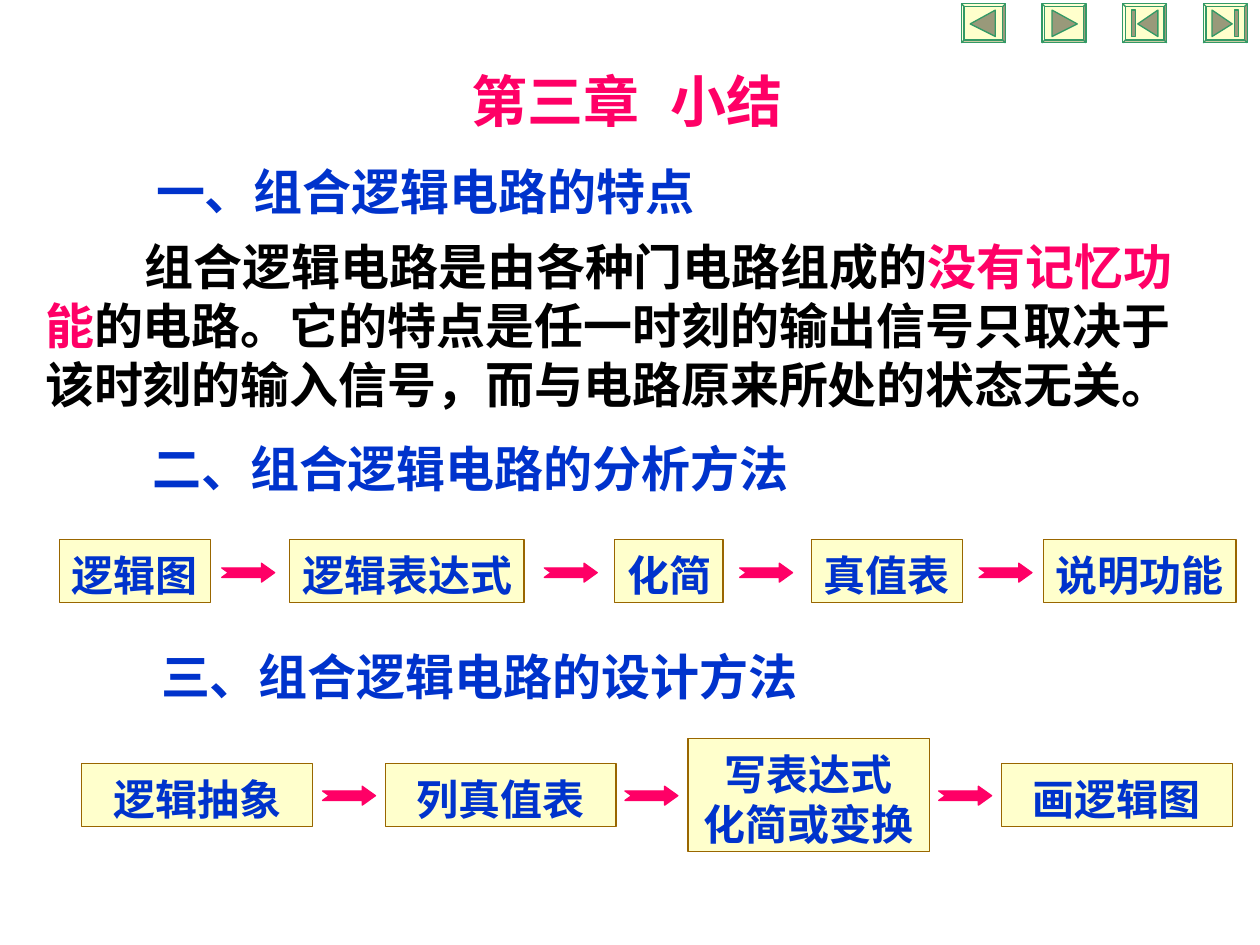
from pptx import Presentation
from pptx.dml.color import RGBColor
from pptx.enum.shapes import MSO_SHAPE as Shape
from pptx.enum.text import MSO_ANCHOR as Anchor, PP_ALIGN as Align
from pptx.oxml.ns import qn
from pptx.util import Inches, Pt

PINK = RGBColor(0xFF, 0x00, 0x66)
BLUE = RGBColor(0x00, 0x33, 0xCC)
BLACK = RGBColor(0x00, 0x00, 0x00)
CREAM = RGBColor(0xFF, 0xFF, 0xCC)
BROWN = RGBColor(0x99, 0x66, 0x00)
GREEN = RGBColor(0x33, 0x99, 0x66)
OLIVE = RGBColor(0x99, 0x99, 0x7A)

HAN_FONT = "Noto Sans CJK SC"
LATIN_FONT = "Times New Roman"
BUTTON_W, BUTTON_H = 0.35, 0.31


class Board:
    """Holds the style and the current slide."""

    def __init__(self, deck):
        """Add a title-only slide to the deck."""
        self.slide = deck.slides.add_slide(deck.slide_layouts[5])
        self.shapes = self.slide.shapes

    def run(self, paragraph, text, size, color, latin=LATIN_FONT):
        """Add one bold run with Latin and Chinese fonts."""
        run = paragraph.add_run()
        run.text = text
        run.font.size, run.font.bold = Pt(size), True
        run.font.name = latin
        run.font.color.rgb = color
        east_asian = run.font._element.makeelement(qn("a:ea"), {"typeface": HAN_FONT})
        run.font._element.find(qn("a:latin")).addnext(east_asian)

    def frame(self, shape, wrap=True, top=0.08, bottom=0.02):
        """Set margins, wrapping and top anchoring, and return the frame."""
        frame = shape.text_frame
        frame.margin_left = frame.margin_right = Inches(0.1)
        frame.margin_top, frame.margin_bottom = Inches(top), Inches(bottom)
        frame.word_wrap = wrap
        frame.vertical_anchor = Anchor.TOP
        return frame

    def fill_lines(self, frame, lines, size, align=Align.LEFT):
        """Write lines, each a list of (text, color) runs."""
        for index, line in enumerate(lines):
            paragraph = frame.add_paragraph() if index else frame.paragraphs[0]
            paragraph.alignment = align
            paragraph.line_spacing = Pt(round(size * 1.2, 1))
            for text, color in line:
                self.run(paragraph, text, size, color)

    def paint(self, shape, fill, line):
        """Apply a flat fill and a thin outline."""
        shape.shadow.inherit = False
        shape.fill.solid()
        shape.fill.fore_color.rgb = fill
        shape.line.color.rgb = line
        shape.line.width = Pt(0.74)

    def title(self, left, top, width, height, pieces):
        """Place the title, written as (text, size) pieces."""
        title = self.shapes.title
        title.left, title.top = Inches(left), Inches(top)
        title.width, title.height = Inches(width), Inches(height)
        paragraph = self.frame(title, top=0.05, bottom=0.05).paragraphs[0]
        paragraph.alignment = Align.LEFT
        for text, size in pieces:
            self.run(paragraph, text, size, PINK, HAN_FONT)

    def text(self, left, top, width, height, lines):
        """Add a text box at heading size and return its frame."""
        box = self.shapes.add_textbox(*map(Inches, (left, top, width, height)))
        frame = self.frame(box)
        self.fill_lines(frame, lines, 28)
        return frame

    def step(self, left, top, width, lines, align, wrap):
        """Add a framed process step, as high as its lines need."""
        height = 0.1 + 0.4 * len(lines)
        step = self.shapes.add_shape(
            Shape.RECTANGLE, *map(Inches, (left, top, width, height)))
        self.paint(step, CREAM, BROWN)
        self.fill_lines(self.frame(step, wrap), [[(line, BLUE)] for line in lines],
                        24, align)

    def arrow(self, left, top):
        """Add a notched arrow between two steps."""
        arrow = self.shapes.add_shape(
            Shape.NOTCHED_RIGHT_ARROW, *map(Inches, (left, top, 0.42, 0.15)))
        arrow.adjustments[0], arrow.adjustments[1] = 0.5, 0.7
        self.paint(arrow, PINK, PINK)

    def button(self, left, top, outlines, mirrored):
        """Add a bevelled navigation button with its icon."""
        face = self.shapes.add_shape(
            Shape.BEVEL, *map(Inches, (left, top, BUTTON_W, BUTTON_H)))
        face.adjustments[0] = 0.07
        self.paint(face, CREAM, GREEN)
        for outline in outlines:
            points = [(Inches(left + (BUTTON_W - x if mirrored else x)), Inches(top + y))
                      for x, y in outline]
            builder = self.shapes.build_freeform(*points[0])
            builder.add_line_segments(points[1:], close=True)
            self.paint(builder.convert_to_shape(), OLIVE, GREEN)


deck = Presentation()
deck.slide_width, deck.slide_height = Inches(10), Inches(7.5)
board = Board(deck)

board.title(3.64, 0.48, 4.92, 0.7, [("第三章", 32), ("\u3000", 18), ("小结", 32)])

HEADINGS = [
    (1.14, 1.2, "一、组合逻辑电路的特点"),
    (1.11, 3.4, "二、组合逻辑电路的分析方法"),
    (1.18, 5.05, "三、组合逻辑电路的设计方法"),
]
for left, top, heading in HEADINGS:
    board.text(left, top, 7.75, 0.57, [[(heading, BLUE)]])

features = board.text(0.26, 1.8, 9.43, 1.5, [
    [("组合逻辑电路是由各种门电路组成的", BLACK), ("没有记忆功", PINK)],
    [("能", PINK), ("的电路。它的特点是任一时刻的输出信号只取决于", BLACK)],
    [("该时刻的输入信号，而与电路原来所处的状态无关。", BLACK)],
])
first_line = features.paragraphs[0]._p.get_or_add_pPr()
first_line.set("indent", str(Inches(0.79)))

ANALYSIS_STEPS = [
    (0.47, 1.2, "逻辑图"),
    (2.3, 1.86, "逻辑表达式"),
    (4.88, 0.86, "化简"),
    (6.44, 1.2, "真值表"),
    (8.28, 1.53, "说明功能"),
]
for left, width, label in ANALYSIS_STEPS:
    board.step(left, 4.28, width, [label], Align.LEFT, wrap=False)

DESIGN_STEPS = [
    (0.65, 6.06, 1.83, ["逻辑抽象"]),
    (3.06, 6.06, 1.83, ["列真值表"]),
    (5.46, 5.86, 1.92, ["写表达式", "化简或变换"]),
    (7.95, 6.06, 1.83, ["画逻辑图"]),
]
for left, top, width, lines in DESIGN_STEPS:
    board.step(left, top, width, lines, Align.CENTER, wrap=True)

ARROW_ROWS = [(4.47, (1.76, 4.32, 5.87, 7.77)), (6.24, (2.56, 4.96, 7.45))]
for top, lefts in ARROW_ROWS:
    for left in lefts:
        board.arrow(left, top)

PREVIOUS = [[(0.07, 0.16), (0.27, 0.05), (0.27, 0.26)]]
FIRST = [
    [(0.12, 0.16), (0.28, 0.05), (0.28, 0.26)],
    [(0.07, 0.05), (0.1, 0.05), (0.1, 0.26), (0.07, 0.26)],
]
BUTTONS = [(PREVIOUS, False), (PREVIOUS, True), (FIRST, False), (FIRST, True)]
for index, (outlines, mirrored) in enumerate(BUTTONS):
    board.button(7.63 + 0.64 * index, 0.03, outlines, mirrored)

deck.save("out.pptx")
